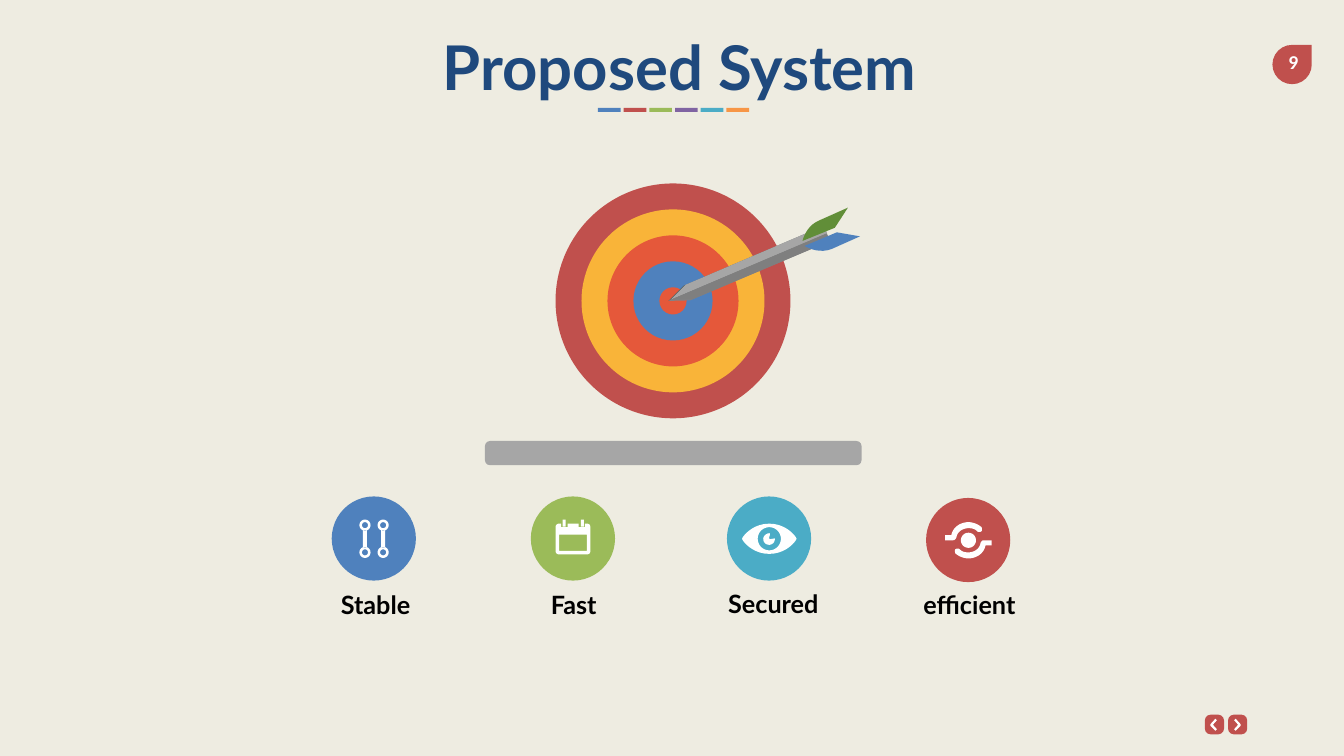
import math
import pptx
import pptx.util
import pptx.dml.color
import pptx.enum.shapes
import pptx.enum.text

Inches = pptx.util.Inches
RGB = pptx.dml.color.RGBColor
KIND = pptx.enum.shapes.MSO_SHAPE

CREAM = RGB(0xEE, 0xEC, 0xE1)
NAVY = RGB(0x1F, 0x49, 0x7D)
BLUE = RGB(0x4F, 0x81, 0xBD)
RED = RGB(0xC0, 0x50, 0x4D)
GREEN = RGB(0x9B, 0xBB, 0x59)
PURPLE = RGB(0x80, 0x64, 0xA2)
TEAL = RGB(0x4B, 0xAC, 0xC6)
ORANGE = RGB(0xF7, 0x96, 0x46)
AMBER = RGB(0xF9, 0xB4, 0x39)
CORAL = RGB(0xE5, 0x58, 0x3A)
LEAF = RGB(0x61, 0x8E, 0x38)
SLATE = RGB(0x51, 0x5D, 0x5D)
STEEL = RGB(0x82, 0x82, 0x86)
SILVER = RGB(0xA6, 0xA6, 0xA6)
GRAY = RGB(0x7F, 0x7F, 0x7F)
WHITE = RGB(0xFF, 0xFF, 0xFF)
BLACK = RGB(0, 0, 0)


def paint(shape, color):
    """Give a shape a flat fill with no line or shadow."""
    shape.fill.solid()
    shape.fill.fore_color.rgb = color
    shape.line.fill.background()
    shape.shadow.inherit = False
    return shape


def block(slide, kind, left, top, width, height, color):
    """Add a flat preset shape."""
    box = [Inches(v) for v in (left, top, width, height)]
    return paint(slide.shapes.add_shape(kind, *box), color)


def write(slide, left, top, width, height, text, size, font, color, pad=0.2):
    """Add one centred bold line of text."""
    box = slide.shapes.add_textbox(*[Inches(v) for v in (left, top, width, height)])
    frame = box.text_frame
    frame.word_wrap = False
    frame.margin_left = frame.margin_right = Inches(pad)
    frame.margin_top = frame.margin_bottom = Inches(pad / 2)
    frame.text = text
    line = frame.paragraphs[0]
    line.alignment = pptx.enum.text.PP_ALIGN.CENTER
    face = line.runs[0].font
    face.size, face.name, face.bold = pptx.util.Pt(size), font, True
    face.color.rgb = color


def trace(*steps):
    """Turn line points and six-number curves into a list of points."""
    points = [steps[0]]
    for step in steps[1:]:
        if len(step) == 2:
            points.append(step)
            continue
        hull = [points[-1], step[:2], step[2:4], step[4:]]
        for t in (k / 10 for k in range(1, 11)):
            mix = [math.comb(3, i) * t ** i * (1 - t) ** (3 - i) for i in range(4)]
            points.append(tuple(sum(m * p[a] for m, p in zip(mix, hull)) for a in (0, 1)))
    return points


def ring(x, y, radius):
    """Return the points of a circle."""
    turns = [math.tau * k / 36 for k in range(36)]
    return [(x + radius * math.cos(a), y + radius * math.sin(a)) for a in turns]


def pane(left, top, right, base):
    """Return the corners of a rectangle."""
    return [(left, top), (right, top), (right, base), (left, base)]


def draw(slide, x, y, paths, color):
    """Draw closed outlines around the point x, y as one shape."""
    spots = [[(Inches(x + a), Inches(y + b)) for a, b in path] for path in paths]
    pen = slide.shapes.build_freeform(*spots[0][0])
    pen.add_line_segments(spots[0][1:], close=True)
    for spot in spots[1:]:
        pen.move_to(*spot[0])
        pen.add_line_segments(spot[1:], close=True)
    return paint(pen.convert_to_shape(), color)


def pins():
    """Return the outlines of two linked pairs of dots."""
    ends = [(x, y) for x in (-0.18, 0.18) for y in (-0.27, 0.27)]
    bars = [pane(x - 0.04, -0.17, x + 0.04, 0.17) for x in (-0.18, 0.18)]
    return [ring(x, y, r) for x, y in ends for r in (0.11, 0.06)] + bars


def diary():
    """Return the outlines of a calendar."""
    frame = trace(
        (-0.28, -0.3), (-0.24, -0.3), (-0.24, -0.23), (-0.11, -0.23), (-0.11, -0.3),
        (0.11, -0.3), (0.11, -0.23), (0.23, -0.23), (0.23, -0.3), (0.27, -0.3),
        (0.32, -0.3, 0.34, -0.27, 0.34, -0.23), (0.34, 0.24),
        (0.34, 0.28, 0.32, 0.31, 0.27, 0.31), (-0.28, 0.31),
        (-0.32, 0.31, -0.35, 0.28, -0.35, 0.24), (-0.35, -0.23),
        (-0.35, -0.27, -0.32, -0.3, -0.28, -0.3))
    tabs = [pane(x, -0.38, x + 0.06, -0.24) for x in (-0.21, 0.15)]
    return [frame, pane(-0.28, -0.08, 0.27, 0.24)] + tabs


def eye():
    """Return the outlines of an eye."""
    lid = trace((0, -0.3), (-0.35, -0.3, -0.54, -0.03, -0.54, 0),
                (-0.54, 0.03, -0.35, 0.3, 0, 0.3), (0.35, 0.3, 0.54, 0.03, 0.54, 0),
                (0.54, -0.03, 0.35, -0.3, 0, -0.3))
    pupil = trace((0, 0), (-0.02, -0.02, 0.04, -0.11, 0, -0.11),
                  (-0.06, -0.11, -0.12, -0.05, -0.12, 0),
                  (-0.12, 0.08, -0.06, 0.12, 0, 0.12),
                  (0.05, 0.12, 0.11, 0.08, 0.11, 0), (0.11, -0.02, 0.02, 0.02, 0, 0))
    return [lid, ring(0, 0, 0.23), pupil]


def swirl():
    """Return the outlines of a dot between two turning arms."""
    arm = trace((-0.24, -0.05), (-0.23, -0.16, -0.12, -0.24, 0, -0.24),
                (0.06, -0.24, 0.13, -0.23, 0.17, -0.18),
                (0.19, -0.16, 0.24, -0.16, 0.26, -0.18),
                (0.27, -0.19, 0.27, -0.23, 0.26, -0.26),
                (0.19, -0.32, 0.09, -0.36, 0, -0.36),
                (-0.16, -0.36, -0.31, -0.26, -0.34, -0.1), (-0.46, -0.1),
                (-0.46, 0), (-0.31, 0), (-0.26, 0, -0.26, -0.03, -0.24, -0.05))
    return [ring(0, 0, 0.15), arm, [(-x, -y) for x, y in arm]]


def trait(slide, left, top, color, icon, text, shift, drop):
    """Place a round icon with its label below."""
    block(slide, KIND.OVAL, left, top, 1.67, 1.67, color)
    draw(slide, left + 0.84, top + 0.84, icon, WHITE)
    write(slide, left + shift - 0.37, top + drop, 2.4, 0.81, text, 36, "Lato", BLACK)


def head(slide, left, top, width):
    """Place the title and its row of coloured dashes."""
    write(slide, left, top, width, 1.58, "Proposed System", 88, "Lato", NAVY, 0.1)
    for k, color in enumerate((BLUE, RED, GREEN, PURPLE, TEAL, ORANGE)):
        block(slide, KIND.RECTANGLE, left + 9.83 + 0.51 * k, top + 1.61, 0.45, 0.08, color)


def target(slide, x, y):
    """Place the rings around a centre, with the bar below."""
    bar = block(slide, KIND.ROUNDED_RECTANGLE, x - 3.73, y + 2.78, 7.47, 0.48, SILVER)
    bar.adjustments[0] = 0.21
    for k, color in enumerate((RED, AMBER, CORAL, BLUE, CORAL)):
        size = 4.66 - 1.03 * k
        block(slide, KIND.OVAL, x - size / 2, y - size / 2, size, size, color)


def dart(slide, x, y):
    """Place the arrow with its tip at x, y."""
    upper = [(0.3, -0.3), (3.04, -1.47), (3.11, -1.32), (0, 0)]
    lower = [(0.43, -0.01), (3.17, -1.17), (3.1, -1.32), (0, 0)]
    for a, b, light, dark in ((0, 0, SLATE, STEEL), (0.04, -0.02, SILVER, GRAY)):
        draw(slide, x + a, y + b, [upper], light)
        draw(slide, x + a, y + b, [lower], dark)
    wing = trace((2.66, -1.19), (2.66, -1.19, 2.72, -1.49, 3, -1.6),
                 (3.56, -1.85), (3.3, -1.45))
    draw(slide, x, y, [wing], LEAF)
    wing = trace((2.7, -1.09), (2.7, -1.09, 2.96, -0.92, 3.24, -1.03),
                 (3.8, -1.28), (3.34, -1.36))
    draw(slide, x, y, [wing], BLUE)


def badge(slide, left, top):
    """Place the page number on its drop."""
    block(slide, KIND.TEAR, left, top, 0.78, 0.78, RED)
    write(slide, left - 0.02, top + 0.01, 0.87, 0.67, "9", 28, "Calibri", WHITE)


def nav(slide, left, top):
    """Place the back and forward buttons."""
    mark = [(-0.06, 0.1), (-0.03, 0.13), (0.07, 0.03), (0.07, 0),
            (-0.03, -0.11), (-0.06, -0.08), (0.02, 0.01)]
    for k, sign in enumerate((-1, 1)):
        x = left + 0.46 * k
        key = block(slide, KIND.ROUNDED_RECTANGLE, x, top, 0.38, 0.39, RED)
        key.adjustments[0] = 0.3
        draw(slide, x + 0.18, top + 0.19, [[(sign * a, b) for a, b in mark]], WHITE)


def main():
    """Build the slide and save it."""
    deck = pptx.Presentation()
    deck.slide_width, deck.slide_height = Inches(26.66), Inches(15)
    slide = deck.slides.add_slide(deck.slide_layouts[6])
    slide.background.fill.solid()
    slide.background.fill.fore_color.rgb = CREAM
    nav(slide, 23.9, 14.18)
    badge(slide, 25.24, 0.89)
    trait(slide, 6.58, 9.85, BLUE, pins(), "Stable", 0.04, 1.75)
    trait(slide, 10.53, 9.85, GREEN, diary(), "Fast", 0.02, 1.74)
    trait(slide, 14.42, 9.85, TEAL, eye(), "Secured", 0.09, 1.72)
    trait(slide, 18.37, 9.88, RED, swirl(), "efficient", 0.03, 1.71)
    target(slide, 13.35, 5.97)
    dart(slide, 13.26, 5.97)
    head(slide, 2.03, 0.53, 22.9)
    deck.save("out.pptx")


if __name__ == "__main__":
    main()
